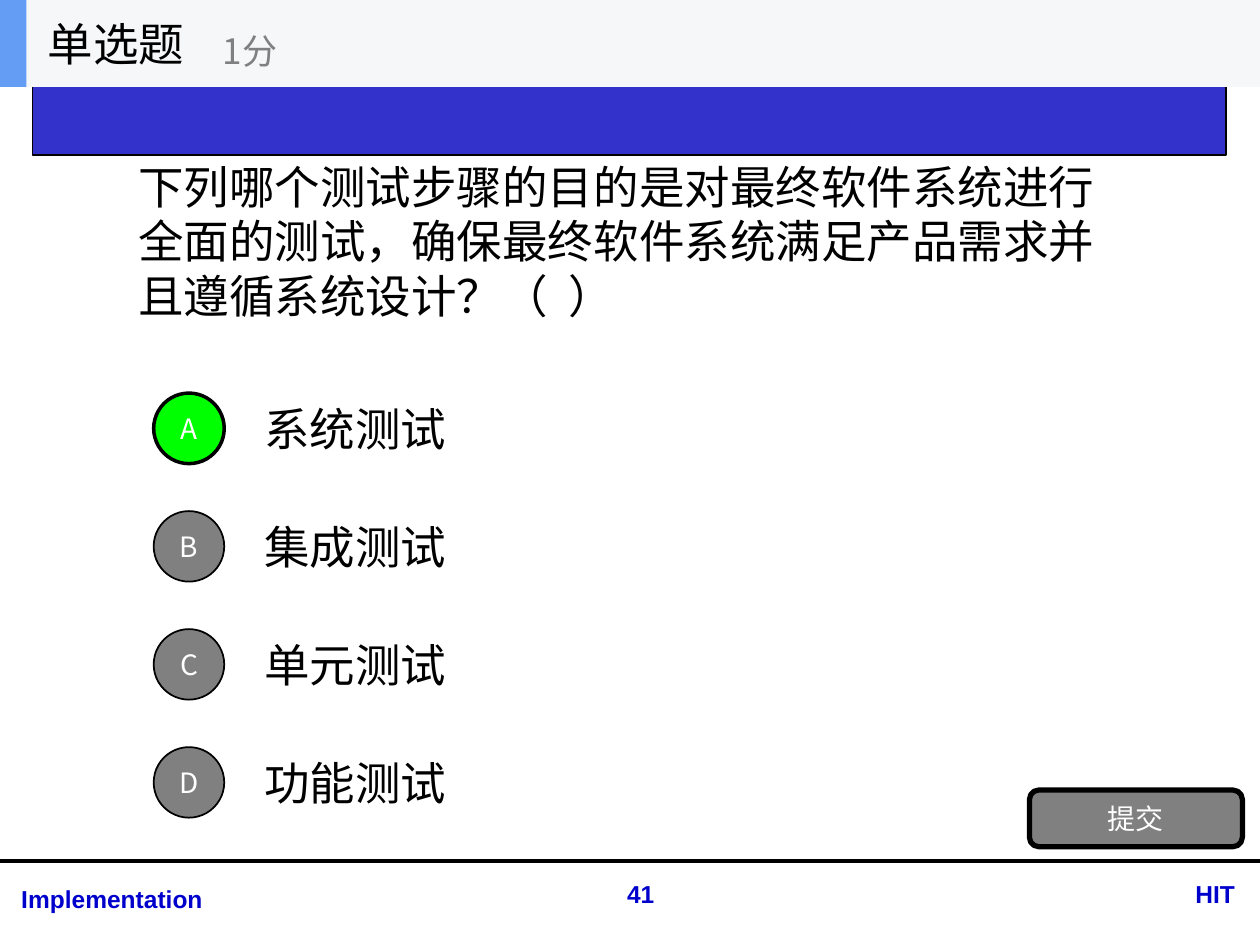
"""Build a single-choice quiz slide on a grid of 1000 columns by 750 rows."""
from collections import namedtuple
from dataclasses import dataclass

from lxml.etree import SubElement as Sub
from pptx import Presentation
from pptx.dml.color import RGBColor as Rgb
from pptx.enum.shapes import MSO_CONNECTOR as Conn, MSO_SHAPE as Form
from pptx.enum.text import MSO_ANCHOR as Anchor, PP_ALIGN as Align
from pptx.oxml.ns import qn
from pptx.util import Inches, Pt

COLS, ROWS = 1000, 750
CELL = Inches(10) // COLS
Box = namedtuple("Box", "x y w h")


@dataclass(frozen=True)
class Theme:
    """Hold the colours, fonts and type sizes."""
    ink: str = "000000"
    white: str = "FFFFFF"
    gray: str = "808080"
    pick: str = "00FF00"
    bar: str = "3333CC"
    foot: str = "0000CC"
    head: str = "F6F7F8"
    tab: str = "639EF4"
    cjk: str = "Noto Sans CJK SC"
    latin: str = "Arial"
    body: int = 26
    score: int = 20
    label: int = 16
    small: int = 14


LOOK = Theme()


def put(item, vals):
    """Set each named value on the item."""
    for name, val in vals.items():
        setattr(item, name, val)


def inner(box, x, y, w, h):
    """Return a box placed by cells from the corner of another."""
    return Box(box.x + x, box.y + y, w, h)


def emu(box):
    """Turn grid cells into lengths."""
    return [round(side * CELL) for side in box]


def write(shape, text, size, color, font=LOOK.cjk, bold=False,
          frame=None, para=None):
    """Write one styled paragraph into a shape."""
    body = shape.text_frame
    put(body, {"word_wrap": True, "vertical_anchor": Anchor.MIDDLE,
               **(frame or {})})
    line = body.paragraphs[0]
    put(line, {"alignment": Align.LEFT, **(para or {})})
    run = line.add_run()
    run.text = text
    put(run.font, {"size": Pt(size), "bold": bold, "name": font})
    run.font.color.rgb = Rgb.from_string(color)
    Sub(run.font._element, qn("a:ea"), typeface=font)


def label(shapes, box, text, size, color, **style):
    """Add a text box."""
    write(shapes.add_textbox(*emu(box)), text, size, color, **style)


def block(shapes, form, box, fill, width=0):
    """Add a filled shape, outlined when a width is given."""
    shape = shapes.add_shape(form, *emu(box))
    shape.shadow.inherit = False
    shape.fill.solid()
    shape.fill.fore_color.rgb = Rgb.from_string(fill)
    if width:
        shape.line.color.rgb = Rgb.from_string(LOOK.ink)
        shape.line.width = Pt(width)
    else:
        shape.line.fill.background()
    return shape


def button(shapes, form, box, text, fill, width):
    """Add a shape with a centred white label."""
    sides = ("left", "right", "top", "bottom")
    write(block(shapes, form, box, fill, width), text, LOOK.label, LOOK.white,
          frame={f"margin_{side}": 0 for side in sides},
          para={"alignment": Align.CENTER})


def footer(shapes, box):
    """Draw the rule and the three footer labels."""
    x, y, w, _ = box
    ends = [round(n * CELL) for n in (x, y, x + w, y)]
    rule = shapes.add_connector(Conn.STRAIGHT, *ends)
    rule.line.color.rgb = Rgb.from_string(LOOK.ink)
    rule.line.width = Pt(2.25)
    Sub(rule._element.spPr, qn("a:effectLst"))
    parts = (("Implementation", 7, 14, 385, Align.LEFT),
             ("HIT", 887, 10, 103, Align.RIGHT),
             ("41", 457, 10, 103, Align.CENTER))
    for text, left, top, wide, side in parts:
        label(shapes, inner(box, left, top, wide, 34), text, LOOK.small,
              LOOK.foot, font=LOOK.latin, bold=True,
              frame={"vertical_anchor": Anchor.TOP}, para={"alignment": side})


def question(shapes, box):
    """Place the question text."""
    text = "下列哪个测试步骤的目的是对最终软件系统进行全面的测试，确保最终软件系统满足产品需求并且遵循系统设计？（  ）"
    label(shapes, box, text, LOOK.body, LOOK.ink,
          frame={"margin_top": Inches(0.15)}, para={"line_spacing": Pt(31)})


def choices(shapes, box, texts, right):
    """Stack the lettered answers at equal steps, marking the right one."""
    high, disc, gap = 70, 56, 78
    step = (box.h - high) / (len(texts) - 1)
    for num, text in enumerate(texts):
        top = num * step
        mark = "ABCD"[num]
        fill, width = (LOOK.pick, 2) if mark == right else (LOOK.gray, 1)
        label(shapes, inner(box, gap, top, box.w - gap, high), text,
              LOOK.body, LOOK.ink)
        spot = inner(box, 0, top + (high - disc) / 2, disc, disc)
        button(shapes, Form.OVAL, spot, mark, fill, width)


def header(shapes, box):
    """Group the header band with its tab, title and score."""
    group = shapes.add_group_shape().shapes
    block(group, Form.RECTANGLE, box, LOOK.head)
    block(group, Form.RECTANGLE, inner(box, 0, 0, 21, box.h), LOOK.tab)
    label(group, inner(box, 28, 0, 208, box.h), "单选题", LOOK.body, LOOK.ink)
    label(group, inner(box, 167, 12, 250, 56), "1分", LOOK.score, LOOK.gray)


def main():
    """Lay out the regions and save the deck."""
    deck = Presentation()
    put(deck, {"slide_width": COLS * CELL, "slide_height": ROWS * CELL})
    shapes = deck.slides.add_slide(deck.slide_layouts[6]).shapes
    block(shapes, Form.RECTANGLE, Box(26, 32, 947, 91), LOOK.bar, 0.75)
    footer(shapes, Box(0, 683, COLS, 67))
    question(shapes, Box(100, 69, 800, 234))
    choices(shapes, Box(122, 305, 778, 351),
            ("系统测试", "集成测试", "单元测试", "功能测试"), "A")
    button(shapes, Form.ROUNDED_RECTANGLE, Box(817, 627, 169, 45), "提交",
           LOOK.gray, 3)
    header(shapes, Box(0, 0, COLS, 69))
    deck.save("out.pptx")


if __name__ == "__main__":
    main()
